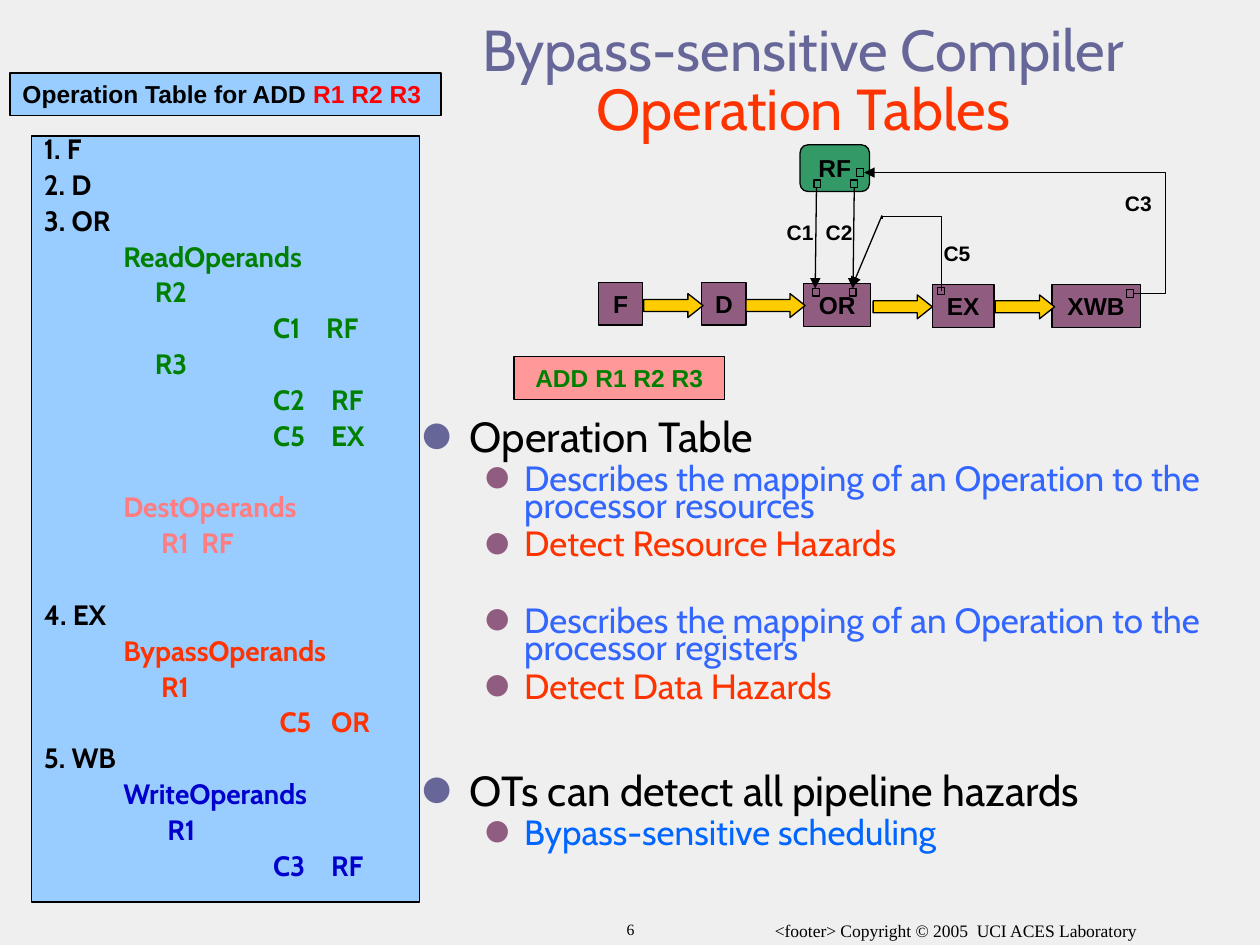
import collections

import lxml.etree
import pptx
import pptx.dml.color
import pptx.enum.shapes
import pptx.enum.text
import pptx.oxml
import pptx.oxml.ns
import pptx.util

COLORS = {
    "background": "EFEFEF", "black": "000000", "slate": "666699", "orange": "FF3300",
    "sky": "99CCFF", "red": "FF0000", "green": "008000", "salmon": "FF7C80",
    "navy": "0000CC", "pink": "FF9999", "plum": "905C80", "gold": "FFCC00",
    "jade": "339966", "blue": "3366FF", "azure": "0066FF",
}
SLIDE_WIDTH, SLIDE_HEIGHT = pptx.util.Inches(10), pptx.util.Inches(7.5)
UNIT = SLIDE_WIDTH // 1000  # the slide is a grid of 1000 columns by 750 rows
Box = collections.namedtuple("Box", "left top width height")

SHAPES = pptx.enum.shapes.MSO_SHAPE
CONNECTORS = pptx.enum.shapes.MSO_CONNECTOR
ALIGN = pptx.enum.text.PP_ALIGN
ANCHOR = pptx.enum.text.MSO_ANCHOR
LABEL = {"name": "Arial", "size": pptx.util.Pt(14), "bold": True}
SMALL_LABEL = {**LABEL, "size": pptx.util.Pt(12)}
TABLE_TEXT = {"name": "Cabin", "size": pptx.util.Pt(16), "bold": True}


def rgb(color):
    return pptx.dml.color.RGBColor.from_string(COLORS[color])


def add_xml(parent, tag, **attributes):
    element = lxml.etree.SubElement(parent, pptx.oxml.ns.qn(tag))
    for name, value in attributes.items():
        element.set(name, str(value))
    return element


def within(region, left, top, width, height):
    """Lengths of a part whose grid position is relative to its region."""
    return [value * UNIT for value in (region.left + left, region.top + top, width, height)]


def add_run(paragraph, text, color, font):
    run = paragraph.add_run()
    run.text = text
    for name, value in font.items():
        setattr(run.font, name, value)
    run.font.color.rgb = rgb(color)


def format_frame(frame, **settings):
    defaults = {"word_wrap": True, "auto_size": pptx.enum.text.MSO_AUTO_SIZE.NONE,
                "vertical_anchor": ANCHOR.TOP}
    for name, value in {**defaults, **settings}.items():
        setattr(frame, name, value)


def add_panel(shapes, position, kind, fill, line_width=0.75):
    panel = shapes.add_shape(kind, *position)
    panel.shadow.inherit = False
    if fill:
        panel.fill.solid()
        panel.fill.fore_color.rgb = rgb(fill)
    else:
        panel.fill.background()
    panel.line.color.rgb = rgb("black")
    panel.line.width = pptx.util.Pt(line_width)
    return panel


def write_label(shape, text, font, color="black", anchor=ANCHOR.MIDDLE):
    format_frame(shape.text_frame, word_wrap=False, vertical_anchor=anchor)
    paragraph = shape.text_frame.paragraphs[0]
    paragraph.alignment = ALIGN.CENTER
    add_run(paragraph, text, color, font)


def add_link(shapes, region, start, end, kind=CONNECTORS.STRAIGHT, arrow=True,
             bend=None, rotation=0):
    """Connector between two grid points; bend is the elbow's share of its width."""
    points = [(origin + value) * UNIT
              for point in (start, end) for origin, value in zip(region[:2], point)]
    link = shapes.add_connector(kind, *points)
    link.line.color.rgb = rgb("black")
    link.line.width = pptx.util.Pt(0.75)
    properties = link._element.spPr
    if bend is not None:
        adjustments = properties.find(pptx.oxml.ns.qn("a:prstGeom")).get_or_add_avLst()
        add_xml(adjustments, "a:gd", name="adj1", fmla=f"val {round(bend * 100000)}")
    if rotation:
        properties.find(pptx.oxml.ns.qn("a:xfrm")).set("rot", str(rotation * 60000))
    if arrow:
        add_xml(link.line._get_or_add_ln(), "a:tailEnd", type="triangle")
    add_xml(properties, "a:effectLst")


def add_title(placeholder, region):
    placeholder.left, placeholder.top, placeholder.width, placeholder.height = within(
        region, 0, 0, region.width, region.height)
    format_frame(placeholder.text_frame, vertical_anchor=ANCHOR.MIDDLE)
    paragraph = placeholder.text_frame.paragraphs[0]
    paragraph.alignment = ALIGN.CENTER
    paragraph.line_spacing = 0.85
    font = {"name": "Cabin", "size": pptx.util.Pt(33)}
    add_run(paragraph, "Bypass-sensitive Compiler", "slate", font)
    paragraph.add_line_break()
    add_run(paragraph, "Operation Tables", "orange", font)


def add_bullets(placeholder, region):
    placeholder.left, placeholder.top, placeholder.width, placeholder.height = within(
        region, 0, 0, region.width, region.height)
    frame = placeholder.text_frame
    format_frame(frame)
    # level: left margin, hanging indent, bullet colour, text size
    levels = [(38, 38, "slate", 24), (81, 31, "plum", 20)]
    items = [
        (0, "Operation Table", "black", 0),
        (1, "Describes the mapping of an Operation to the processor resources", "blue", 6.2),
        (1, "Detect Resource Hazards", "orange", 6.2),
        (1, "Describes the mapping of an Operation to the processor registers", "blue", 28.2),
        (1, "Detect Data Hazards", "orange", 6.2),
        (0, "OTs can detect all pipeline hazards", "black", 43),
        (1, "Bypass-sensitive scheduling", "azure", 6.2),
    ]
    for index, (level, text, color, space) in enumerate(items):
        paragraph = frame.add_paragraph() if index else frame.paragraphs[0]
        margin, hanging, bullet_color, size = levels[level]
        properties = paragraph._p.get_or_add_pPr()
        properties.set("marL", str(margin * UNIT))
        properties.set("indent", str(-hanging * UNIT))
        add_xml(add_xml(properties, "a:buClr"), "a:srgbClr", val=COLORS[bullet_color])
        add_xml(properties, "a:buSzPct", val=80000)
        add_xml(properties, "a:buFont", typeface="Cabin")
        add_xml(properties, "a:buChar", char="●")
        paragraph.level = level
        paragraph.line_spacing = 0.65
        paragraph.space_before = pptx.util.Pt(space)
        add_run(paragraph, text, color, {"name": "Cabin", "size": pptx.util.Pt(size)})


def add_operation_table(shapes, region):
    heading = add_panel(shapes, within(region, 0, 0, 342, 34), SHAPES.RECTANGLE, "sky")
    format_frame(heading.text_frame)
    paragraph = heading.text_frame.paragraphs[0]
    paragraph.alignment = ALIGN.LEFT
    add_run(paragraph, "Operation Table for ADD ", "black", LABEL)
    add_run(paragraph, "R1 R2 R3", "red", LABEL)

    panel = add_panel(shapes, within(region, 17, 50, 308, 608), SHAPES.RECTANGLE, "sky", 1)
    format_frame(panel.text_frame)
    gap, section_gap = 8, 28.5
    rows = [  # tab stops, cells, colour, space before
        ((), ["1. F"], "black", 0),
        ((), ["2. D"], "black", gap),
        ((), ["3. OR"], "black", gap),
        ((63,), ["ReadOperands"], "green", gap),
        ((88,), ["R2"], "green", gap),
        ((182, 224), ["C1", "RF"], "green", gap),
        ((88,), ["R3"], "green", gap),
        ((182, 228), ["C2", "RF"], "green", gap),
        ((182, 228), ["C5", "EX"], "green", gap),
        ((63,), ["DestOperands"], "salmon", section_gap),
        ((93, 125), ["R1", "RF"], "salmon", gap),
        ((), ["4. EX"], "black", section_gap),
        ((63,), ["BypassOperands"], "orange", gap),
        ((93,), ["R1"], "orange", gap),
        ((187, 228), ["C5", "OR"], "orange", gap),
        ((), ["5. WB"], "black", gap),
        ((63,), ["WriteOperands"], "navy", gap),
        ((98,), ["R1"], "navy", gap),
        ((182, 228), ["C3", "RF"], "navy", gap),
    ]
    for index, (stops, cells, color, space) in enumerate(rows):
        frame = panel.text_frame
        paragraph = frame.add_paragraph() if index else frame.paragraphs[0]
        if stops:
            tabs = add_xml(paragraph._p.get_or_add_pPr(), "a:tabLst")
            for stop in stops:
                add_xml(tabs, "a:tab", pos=stop * UNIT, algn="l")
        paragraph.alignment = ALIGN.LEFT
        paragraph.line_spacing = 0.65
        paragraph.space_before = pptx.util.Pt(space)
        add_run(paragraph, ("\t" if stops else "") + "\t".join(cells), color, TABLE_TEXT)


def add_pipeline(shapes, region):
    stages = [("F", 0, 109, 35), ("D", 82, 109, 35), ("OR", 163, 110, 53),
              ("EX", 265, 111, 49), ("XWB", 360, 111, 70)]
    for name, left, top, width in stages:
        stage = add_panel(shapes, within(region, left, top, width, 34), SHAPES.RECTANGLE, "plum")
        write_label(stage, name, LABEL)
    for left, top in [(36, 118), (117, 118), (218, 119), (315, 119)]:
        arrow = add_panel(shapes, within(region, left, top, 47, 19), SHAPES.RIGHT_ARROW, "gold")
        arrow.adjustments[1] = 0.63
    register_file = add_panel(shapes, within(region, 160, 0, 55, 37),
                              SHAPES.ROUNDED_RECTANGLE, "jade")
    write_label(register_file, "RF", LABEL)
    ports = [(171, 28), (200, 28), (199, 114), (170, 114), (205, 19), (269, 113), (419, 115)]
    for left, top in ports:
        add_panel(shapes, within(region, left, top, 5.5, 6), SHAPES.RECTANGLE, None)

    for start, end in [((173, 34), (172, 114)), ((203, 34), (202, 114)), ((225, 56), (201, 113))]:
        add_link(shapes, region, start, end)
    add_link(shapes, region, (425, 118), (211, 22), CONNECTORS.ELBOW, bend=-0.117)
    add_link(shapes, region, (220, 111), (277, 64), CONNECTORS.ELBOW, arrow=False,
             bend=1.036, rotation=270)
    for name, left, top, width in [("C3", 407, 31, 43), ("C5", 261, 71, 47),
                                   ("C1", 137, 54, 46), ("C2", 165, 54, 52)]:
        label = shapes.add_textbox(*within(region, left, top, width, 30))
        write_label(label, name, SMALL_LABEL, anchor=ANCHOR.TOP)


def add_footer(shapes, region):
    for text, left, width, size in [("6", 0, 249, 9),
                                    ("<footer> Copyright © 2005  UCI ACES Laboratory", 199, 367, 10)]:
        footer = shapes.add_textbox(*within(region, left, 0, width, region.height))
        font = {"name": "Times New Roman", "size": pptx.util.Pt(size)}
        write_label(footer, text, font, anchor=ANCHOR.TOP)


def main():
    presentation = pptx.Presentation()
    presentation.slide_width, presentation.slide_height = SLIDE_WIDTH, SLIDE_HEIGHT
    slide = presentation.slides.add_slide(presentation.slide_layouts[1])
    slide.background.fill.solid()
    slide.background.fill.fore_color.rgb = rgb("background")
    add_title(slide.shapes.title, Box(325, 30, 625, 72))
    add_bullets(slide.placeholders[1], Box(325, 333, 650, 358))
    add_operation_table(slide.shapes, Box(8, 58, 342, 658))
    instruction = add_panel(slide.shapes, within(Box(408, 283, 167, 34), 0, 0, 167, 34),
                            SHAPES.RECTANGLE, "pink")
    write_label(instruction, "ADD R1 R2 R3", LABEL, "green")
    add_pipeline(slide.shapes.add_group_shape().shapes, Box(475, 115, 450, 146))
    add_footer(slide.shapes, Box(376, 725, 566, 25))
    presentation.save("out.pptx")


if __name__ == "__main__":
    main()
